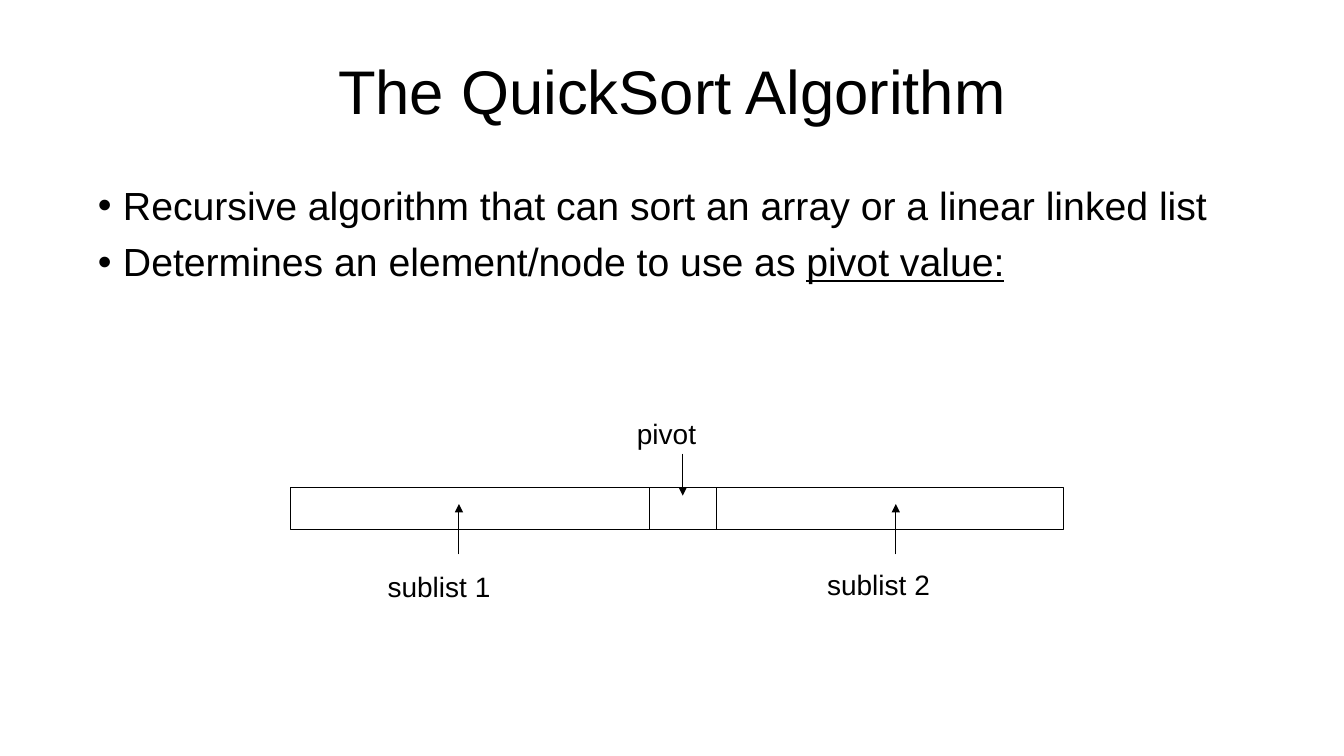
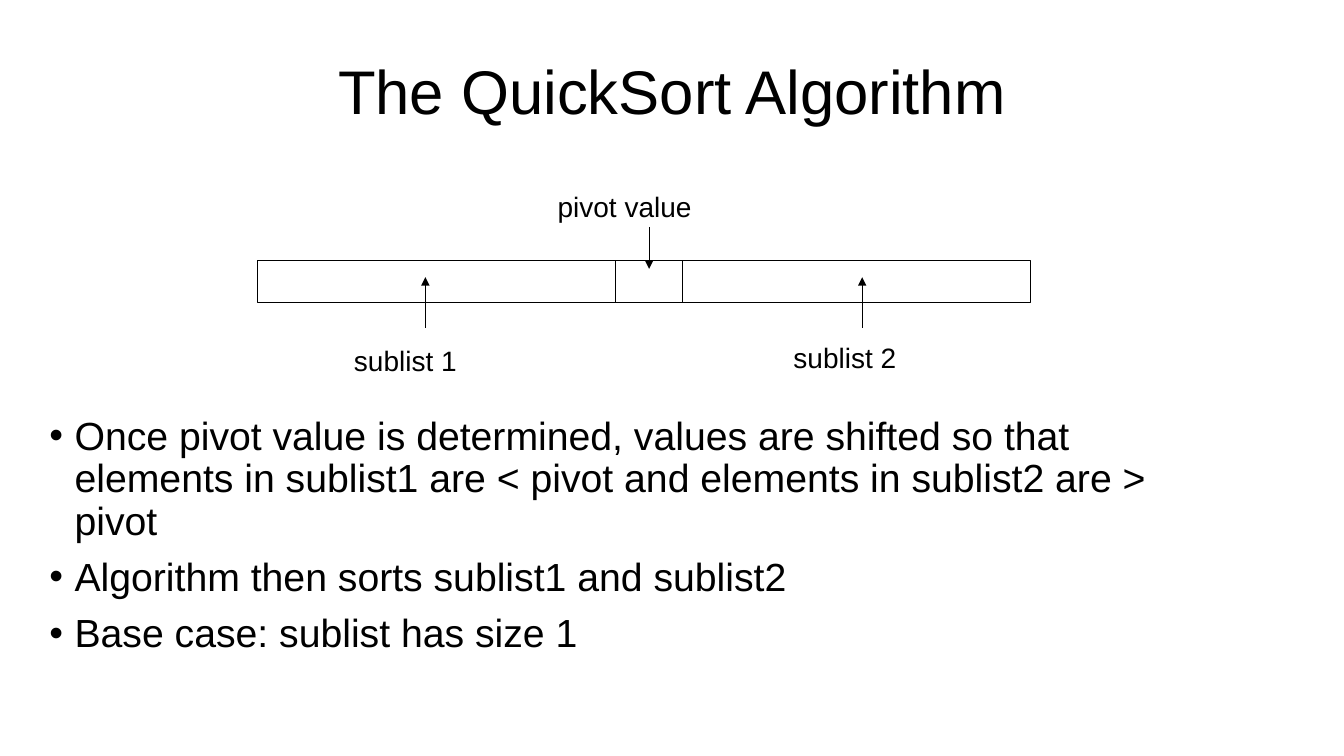
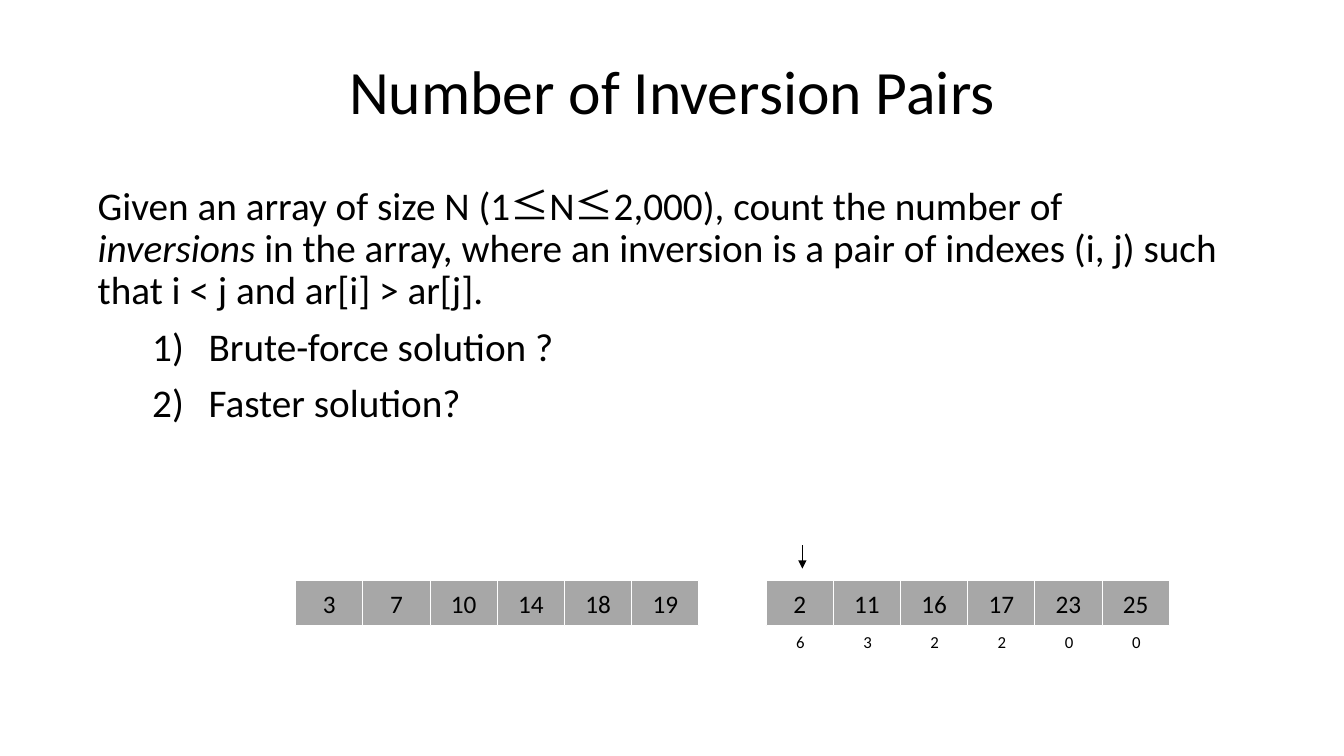
from dataclasses import dataclass

from pptx import Presentation
from pptx.dml.color import RGBColor
from pptx.enum.shapes import MSO_CONNECTOR, MSO_SHAPE
from pptx.enum.text import MSO_ANCHOR, MSO_AUTO_SIZE, PP_ALIGN
from pptx.oxml.ns import qn
from pptx.util import Inches, Pt
from lxml.etree import SubElement


@dataclass(frozen=True)
class Theme:
    ink: RGBColor = RGBColor(0, 0, 0)
    gray: RGBColor = RGBColor(0xA7, 0xA7, 0xA7)
    white: RGBColor = RGBColor(255, 255, 255)
    sans: str = "Arial"
    text: str = "Calibri"
    math: str = "Noto Sans CJK JP"
    title: Pt = Pt(44)
    body: Pt = Pt(28)
    label: Pt = Pt(20)
    cell: Pt = Pt(18)
    count: Pt = Pt(12)
    line: Pt = Pt(0.75)


LOOK = Theme()
WIDE, HIGH = Inches(13.33), Inches(7.5)
COLS, ROWS = 20, 18
PAD = Inches(0.05)
TIGHT = dict(margin_left=PAD, margin_right=PAD, margin_top=PAD,
             margin_bottom=PAD, word_wrap=True, auto_size=MSO_AUTO_SIZE.NONE)
GROW = dict(word_wrap=False, auto_size=MSO_AUTO_SIZE.SHAPE_TO_FIT_TEXT)
FLOW = dict(line_spacing=0.9, space_before=Pt(10))
DOT = ("a:buChar", {"char": "•"})
NUMBER = ("a:buAutoNum", {"type": "arabicParenR"})


def put(item, form):
    for key, value in form.items():
        setattr(item, key, value)


def across(cols):
    return round(WIDE * cols / COLS)


def down(rows):
    return round(HIGH * rows / ROWS)


def area(col, row, wide, high):
    return across(col), down(row), across(wide), down(high)


def write(par, text, size, face, **form):
    run = par.add_run()
    run.text = text
    put(run.font, dict(size=size, name=face, **form))
    run.font.color.rgb = LOOK.ink
    if face == LOOK.math:
        SubElement(run.font._element, qn("a:ea"), typeface=face)


def mark(par, kind, left, hang, level=0):
    par.level = level
    props = par._p.get_or_add_pPr()
    props.set("marL", str(Inches(left)))
    props.set("indent", str(Inches(-hang)))
    tag, form = kind
    if kind is DOT:
        SubElement(props, qn("a:buFont"), typeface=LOOK.sans)
    SubElement(props, qn(tag), form)


def page(deck, text, face):
    slide = deck.slides.add_slide(deck.slide_layouts[5])
    title = slide.shapes.title
    put(title, dict(zip(("left", "top", "width", "height"),
                        area(1.38, 0.17, 17.25, 4.15))))
    frame = title.text_frame
    put(frame, dict(TIGHT, vertical_anchor=MSO_ANCHOR.MIDDLE))
    par = frame.paragraphs[0]
    put(par, dict(alignment=PP_ALIGN.CENTER, line_spacing=0.9))
    write(par, text, LOOK.title, face)
    return slide.shapes


def body(shapes, place, face, items):
    frame = shapes.add_textbox(*area(*place)).text_frame
    put(frame, TIGHT)
    for spot, (runs, bullet) in enumerate(items):
        par = frame.add_paragraph() if spot else frame.paragraphs[0]
        put(par, FLOW)
        if bullet:
            mark(par, *bullet)
        for text, form in runs:
            write(par, text, LOOK.body, form.get("face", face),
                  **{key: form[key] for key in form if key != "face"})


def bullets(shapes, place, items):
    body(shapes, place, LOOK.sans, [(runs, (DOT, 0.25, 0.25)) for runs in items])


def box(shapes, place, edge, fill=None):
    shape = shapes.add_shape(MSO_SHAPE.RECTANGLE, *area(*place))
    shape.shadow.inherit = False
    if fill:
        shape.fill.solid()
        shape.fill.fore_color.rgb = fill
    else:
        shape.fill.background()
    shape.line.color.rgb = edge
    shape.line.width = LOOK.line
    return shape


def arrow(shapes, col, start, end):
    line = shapes.add_connector(MSO_CONNECTOR.STRAIGHT, across(col), down(start),
                                across(col), down(end))
    line.line.color.rgb = LOOK.ink
    line.line.width = LOOK.line
    SubElement(line.line._get_or_add_ln(), qn("a:tailEnd"), type="triangle")
    SubElement(line._element.spPr, qn("a:effectLst"))


def label(shapes, place, text):
    frame = shapes.add_textbox(*area(*place)).text_frame
    put(frame, GROW)
    write(frame.paragraphs[0], text, LOOK.label, LOOK.sans)


def split(shapes, col, row, pivot, shift, wide):
    group = shapes.add_group_shape().shapes
    for left, size in ((0, 11.5), (5.33, 1)):
        box(group, (col + left, row, size, 1), LOOK.ink)
    for left, top, size, text in ((shift, -1.8, wide, pivot),
                                  (1.29, 1.85, 1.85, "sublist 1"),
                                  (7.83, 1.8, 1.85, "sublist 2")):
        label(group, (col + left, row + top, size, 1.05), text)
    for left, start, end in ((5.83, -0.8, 0.2), (2.5, 1.6, 0.4), (9, 1.6, 0.4)):
        arrow(group, col + left, row + start, row + end)


def center(frame, text, size):
    par = frame.paragraphs[0]
    par.alignment = PP_ALIGN.CENTER
    write(par, text, size, LOOK.text)


def cells(shapes, col, values):
    for step, value in enumerate(values):
        shape = box(shapes, (col + step, 13.82, 1, 1.08), LOOK.white, LOOK.gray)
        put(shape.text_frame, dict(word_wrap=False,
                                   vertical_anchor=MSO_ANCHOR.MIDDLE))
        center(shape.text_frame, str(value), LOOK.cell)


def counts(shapes, col, values):
    group = shapes.add_group_shape().shapes
    for step, value in enumerate(values):
        frame = group.add_textbox(*area(col + step, 14.93, 0.6, 0.72)).text_frame
        put(frame, dict(GROW, word_wrap=True))
        center(frame, str(value), LOOK.count)


def pivot(deck):
    shapes = page(deck, "The QuickSort Algorithm", LOOK.sans)
    bullets(shapes, (1.38, 4.32, 17.25, 13.68), [
        [("Recursive algorithm that can sort an array or a linear linked list", {})],
        [("Determines an element/node to use as ", {}),
         ("pivot value:", {"underline": True})],
    ])
    split(shapes, 4.33, 11.6, "pivot", 5, 1.18)


def shift(deck):
    shapes = page(deck, "The QuickSort Algorithm", LOOK.sans)
    bullets(shapes, (0.66, 9.8, 17, 6.6), [
        [("Once pivot value is determined, values are shifted so that elements in "
          "sublist1 are < pivot and elements in sublist2 are > pivot", {})],
        [("Algorithm then sorts sublist1 and sublist2", {})],
        [("Base case: sublist has size 1", {})],
    ])
    split(shapes, 3.83, 6.2, "pivot value", 4.32, 2.31)


def pairs(deck):
    shapes = page(deck, "Number of Inversion Pairs", LOOK.text)
    most = ("≤", {"face": LOOK.math})
    number = (NUMBER, 1.1, 0.56, 1)
    body(shapes, (1.38, 4.32, 16.9, 6.86), LOOK.text, [
        ([("Given an array of size N (1", {}), most, ("N", {}), most,
          ("2,000), count the number of ", {}),
          ("inversions ", {"italic": True}),
          ("in the array, where an inversion is a pair of indexes (i, j) such that "
           "i < j and ar[i] > ar[j].", {})], None),
        ([("Brute-force solution ?", {})], number),
        ([("Faster solution?", {})], number),
    ])
    cells(shapes, 4.4, (3, 7, 10, 14, 18, 19))
    cells(shapes, 11.4, (2, 11, 16, 17, 23, 25))
    arrow(shapes, 11.94, 12.98, 13.54)
    counts(shapes, 11.61, (6, 3, 2, 2, 0, 0))


def main():
    deck = Presentation()
    put(deck, dict(slide_width=WIDE, slide_height=HIGH))
    for build in (pivot, shift, pairs):
        build(deck)
    deck.save("out.pptx")


if __name__ == "__main__":
    main()
